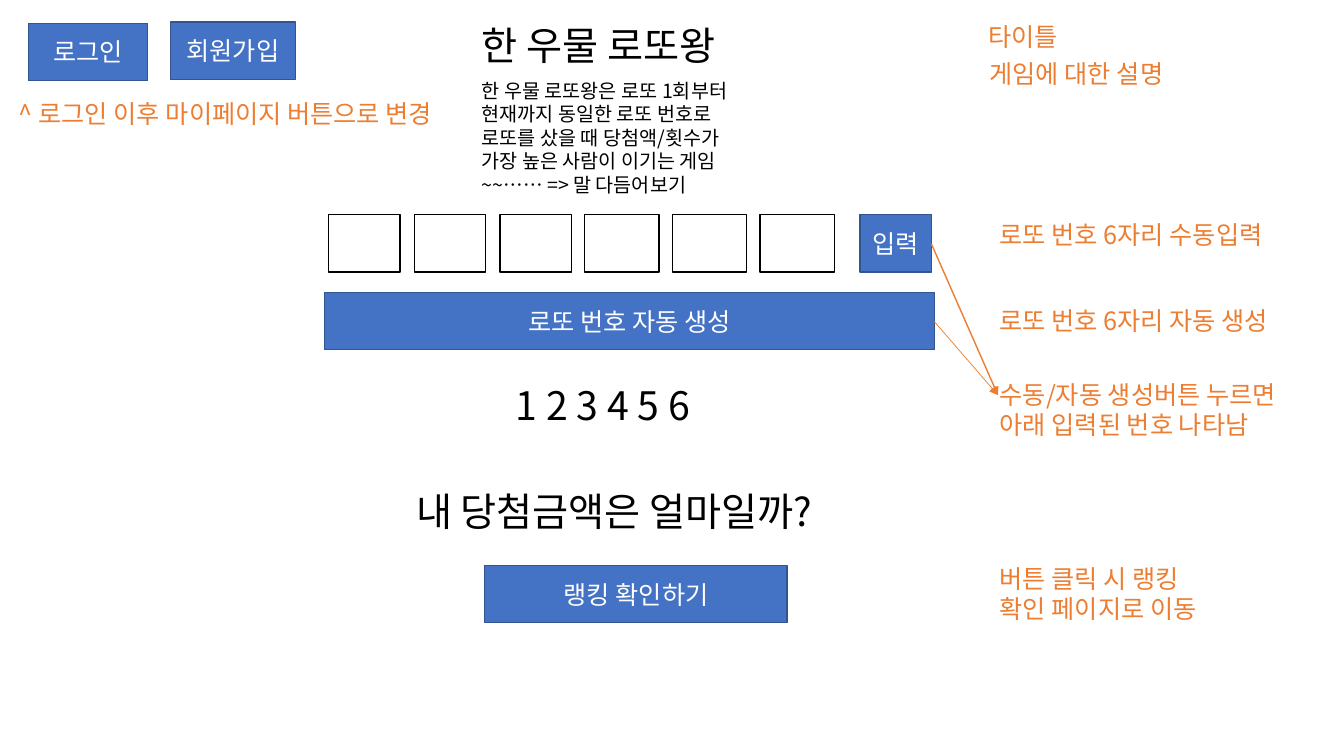
from lxml.etree import SubElement
from pptx import Presentation
from pptx.dml.color import RGBColor
from pptx.enum.shapes import MSO_CONNECTOR, MSO_SHAPE
from pptx.enum.text import MSO_ANCHOR, MSO_AUTO_SIZE, PP_ALIGN
from pptx.oxml.ns import qn
from pptx.util import Pt

FONT = "Noto Sans CJK KR"
HEX = {"blue": "4472C4", "navy": "325491", "orange": "ED7D31",
       "black": "000000", "white": "FFFFFF"}
HIGH = 41  # height of buttons and number boxes
ROW = 153.4  # top of the number row

# Content: places are left, top, width (and height)
TITLE = ("한 우물 로또왕", 337, 11.5, 208.8, HIGH)
BUTTONS = [
    ("로그인", 20.2, 16.6, 85),
    ("회원가입", 121.7, 15.8, 89.3),
    ("입력", 614.2, ROW, 51.1),
    ("로또 번호 자동 생성", 231.8, 208.8, 435.6),
    ("랭킹 확인하기", 346.3, 403.9, 216),
]
BODY = [
    ("한 우물 로또왕은 로또 1회부터 현재까지 동일한 로또 번호로 로또를 샀을 때 "
     "당첨액/횟수가 가장 높은 사람이 이기는 게임~~…… => 말 다듬어보기",
     337, 52.6, 208.8, 92.2, 14),
    ("1 2 3 4 5 6", 361.4, 268.6, 160.6, HIGH, 28),
    ("내 당첨금액은 얼마일까?", 290.2, 344.9, 328.3, HIGH, 28),
]
NOTES = [
    ("타이틀", 699.1, 11.5, 69.1),
    ("게임에 대한 설명", 699.8, 38.2, 154.8),
    ("로또 번호 6자리 수동입력", 707, ROW, 225.4),
    ("로또 번호 6자리 자동 생성", 707, 214.6, 231.8),
    ("수동/자동 생성버튼 누르면\n아래 입력된 번호 나타남", 707, 267.1, 234.7),
    ("버튼 클릭 시 랭킹\n확인 페이지로 이동", 707, 398.9, 172.8),
    ("^ 로그인 이후 마이페이지 버튼으로 변경", 6.5, 67, 350.6),
]
BOXES = [(234.7, 61.2, 51.1), (417.6, 62.6, 53.3)]  # first left, step, width
ARROWS = [(665.3, 174.2, 1), (667.4, 229.7, 0.5)]  # start x, start y, weight
TARGET = (712.8, 282.2)

deck = Presentation()
deck.slide_width, deck.slide_height = Pt(960), Pt(540)
slide = deck.slides.add_slide(deck.slide_layouts[5])
shapes = slide.shapes


def color(name):
    return RGBColor.from_string(HEX[name])


def write(frame, text, size, ink, align=PP_ALIGN.LEFT):
    frame.text = text
    for para in frame.paragraphs:
        para.alignment = align
        font = para.font
        font.size, font.name = Pt(size), FONT
        font.color.rgb = color(ink)
        SubElement(font._element, qn("a:ea"), typeface=FONT)


def rect(left, top, width, fill, edge):
    box = shapes.add_shape(MSO_SHAPE.RECTANGLE, Pt(left), Pt(top), Pt(width), Pt(HIGH))
    box.shadow.inherit = False
    box.fill.solid()
    box.fill.fore_color.rgb = color(fill)
    box.line.color.rgb = color(edge)
    box.line.width = Pt(1)
    return box


def label(text, left, top, width, height, size, ink, wrap):
    frame = shapes.add_textbox(Pt(left), Pt(top), Pt(width), Pt(height)).text_frame
    frame.word_wrap = wrap
    frame.auto_size = MSO_AUTO_SIZE.SHAPE_TO_FIT_TEXT
    write(frame, text, size, ink)


# Title
text, *place = TITLE
head = shapes.title
head.left, head.top, head.width, head.height = map(Pt, place)
head.text_frame.vertical_anchor = MSO_ANCHOR.TOP
head.text_frame.auto_size = MSO_AUTO_SIZE.NONE
write(head.text_frame, text, 28, "black")

# Buttons
for text, left, top, width in BUTTONS:
    frame = rect(left, top, width, "blue", "navy").text_frame
    frame.vertical_anchor = MSO_ANCHOR.MIDDLE
    write(frame, text, 18, "white", PP_ALIGN.CENTER)

# Six number boxes
for first, step, width in BOXES:
    for i in range(3):
        rect(first + i * step, ROW, width, "white", "black")

# Page text and orange notes
for item in BODY:
    label(*item, "black", True)
for text, left, top, width in NOTES:
    height = 51.1 if "\n" in text else 28.8
    label(text, left, top, width, height, 18, "orange", False)

# Arrows to the note on the drawn numbers
for x, y, weight in ARROWS:
    arrow = shapes.add_connector(MSO_CONNECTOR.STRAIGHT, Pt(x), Pt(y), *map(Pt, TARGET))
    arrow.line.color.rgb = color("orange")
    arrow.line.width = Pt(weight)
    SubElement(arrow.line._get_or_add_ln(), qn("a:tailEnd"), type="triangle")
    SubElement(arrow._element.spPr, qn("a:effectLst"))

deck.save("out.pptx")
